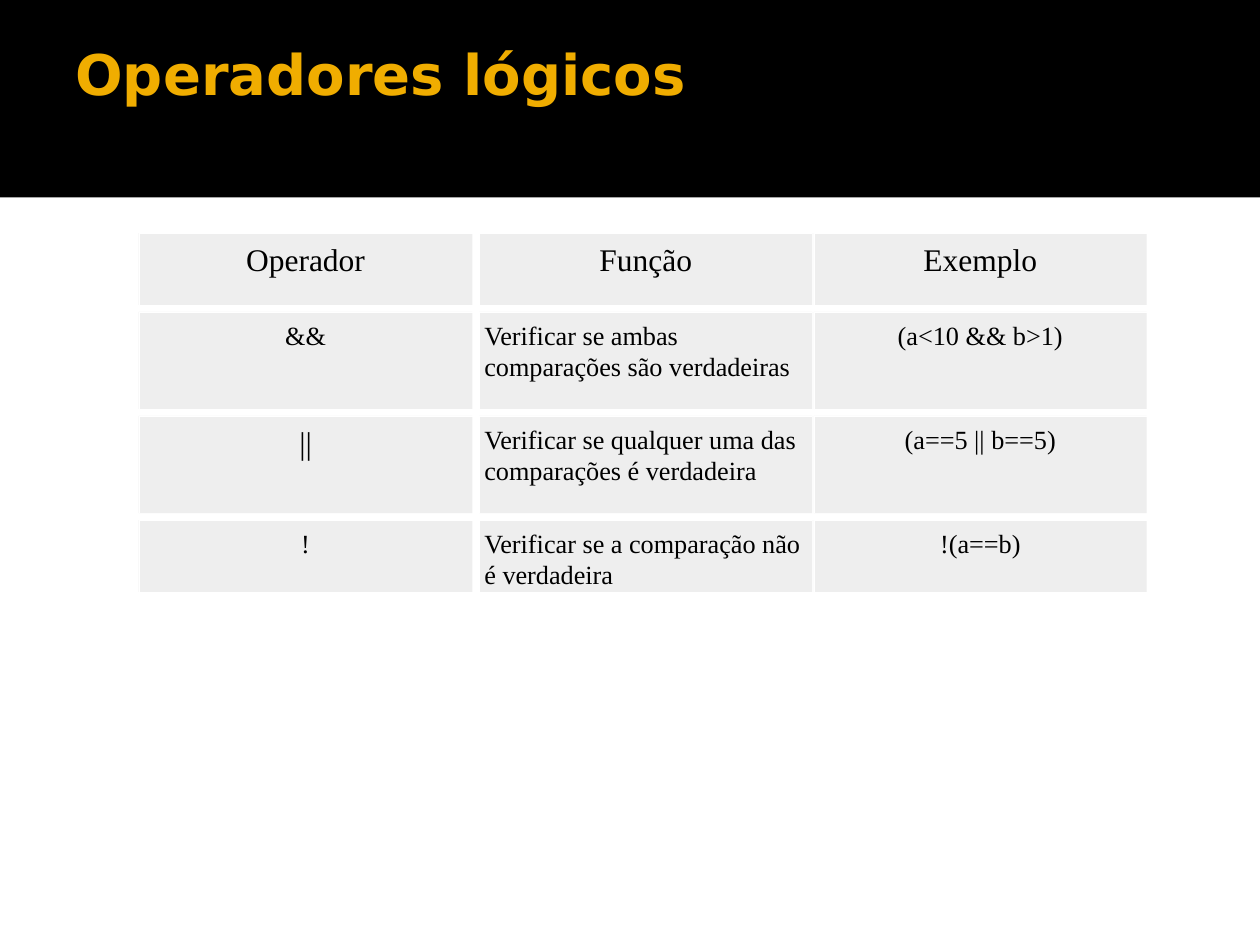
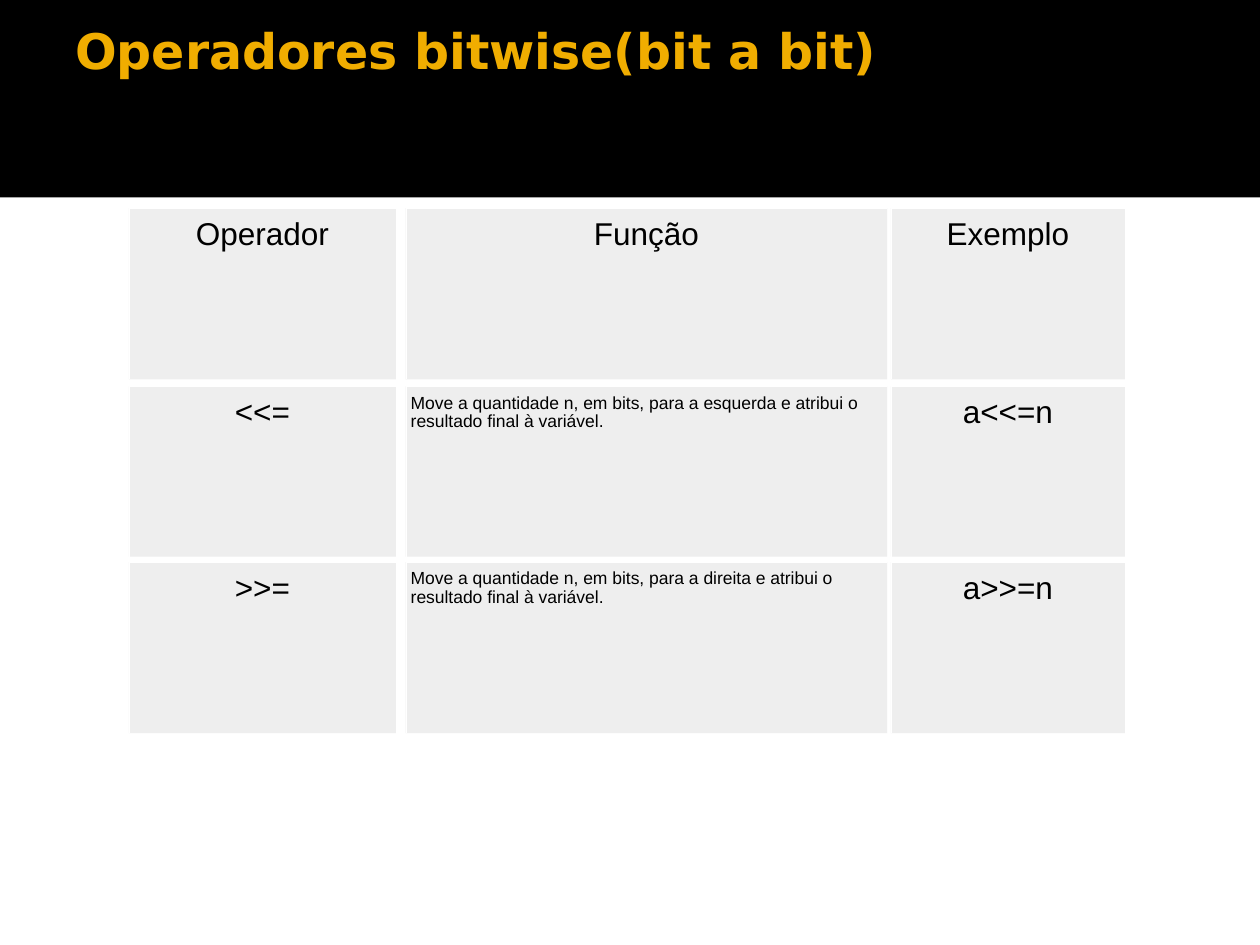
"""Builds two slides that tabulate logical and bitwise operators."""
import pptx
import pptx.dml.color
import pptx.enum.shapes
import pptx.enum.text
import pptx.oxml.ns
import pptx.util
from lxml import etree

Pt = pptx.util.Pt
ALIGN = pptx.enum.text.PP_ALIGN
RECTANGLE = pptx.enum.shapes.MSO_SHAPE.RECTANGLE
STRAIGHT = pptx.enum.shapes.MSO_CONNECTOR.STRAIGHT
BLACK, GOLD, WHITE, GREY = "000000", "F0AD00", "FFFFFF", "EEEEEE"


def colour(hex_value):
    return pptx.dml.color.RGBColor.from_string(hex_value)


def apply(target, formats):
    for attribute, value in formats.items():
        setattr(target, attribute, value)


lessons = [
    {
        "title": "Operadores lógicos",
        "title_size": 32,
        "title_inset": 14.9,
        "font": "Times New Roman",
        "columns": [(79.2, 190.8), (273.9, 190.2), (465.1, 190.2)],
        "lines": [(133.3, 41), (178.3, 55.4), (237.7, 55.5), (297.2, 41)],
        "top_inset": 4,
        "body_sizes": (15, 15, 15),
        "spacings": (1.0, 1.0),
        "rows": [
            ("&&", "Verificar se ambas comparações são verdadeiras", "(a<10 && b>1)"),
            ("||", "Verificar se qualquer uma das comparações é verdadeira", "(a==5 || b==5)"),
            ("!", "Verificar se a comparação não é verdadeira", "!(a==b)"),
        ],
    },
    {
        "title": "Operadores bitwise(bit a bit)",
        "title_size": 28,
        "title_inset": 3.6,
        "font": "Arial",
        "columns": [(73.6, 152.7), (231.8, 275.1), (509.1, 133.8)],
        "lines": [(119, 97.8), (220.8, 97.4), (321.2, 97.8)],
        "top_inset": 4.3,
        "body_sizes": (18, 10, 18),
        "spacings": (0.98, 0.9),
        "rows": [
            ("<<=", "Move a quantidade n, em bits, para a esquerda e atribui o resultado final à variável.", "a<<=n"),
            (">>=", "Move a quantidade n, em bits, para a direita e atribui o resultado final à variável.", "a>>=n"),
        ],
    },
]
headings = ("Operador", "Função", "Exemplo")
heading_size = 18
larger_operators = {"||": 18}

deck = pptx.Presentation()
apply(deck, {"slide_width": Pt(720), "slide_height": Pt(540)})

for lesson in lessons:
    slide = deck.slides.add_slide(deck.slide_layouts[6])

    band = slide.shapes.add_shape(RECTANGLE, 0, 0, Pt(720), Pt(112.8))
    band.shadow.inherit = False
    band.fill.solid()
    band.fill.fore_color.rgb = colour(BLACK)
    band.line.fill.background()

    title = slide.shapes.add_textbox(Pt(36), Pt(12.2), Pt(648), Pt(98.6)).text_frame
    apply(title, {"word_wrap": True, "margin_top": Pt(lesson["title_inset"])})
    heading = title.paragraphs[0]
    apply(heading, {"text": lesson["title"], "line_spacing": 0.9})
    apply(heading.font, {"name": "DejaVu Sans", "size": Pt(lesson["title_size"]), "bold": True})
    heading.font.color.rgb = colour(GOLD)

    edges = []
    for r, (texts, (top, height)) in enumerate(zip([headings] + lesson["rows"], lesson["lines"])):
        for c, (text, (left, width)) in enumerate(zip(texts, lesson["columns"])):
            cell = slide.shapes.add_shape(RECTANGLE, Pt(left), Pt(top), Pt(width), Pt(height))
            cell.shadow.inherit = False
            cell.fill.solid()
            cell.fill.fore_color.rgb = colour(GREY)
            cell.line.fill.background()
            apply(cell.text_frame, {
                "word_wrap": True,
                "vertical_anchor": pptx.enum.text.MSO_ANCHOR.TOP,
                "margin_left": Pt(2.9),
                "margin_right": Pt(2.9),
                "margin_top": Pt(lesson["top_inset"]),
                "margin_bottom": Pt(2.9),
            })

            is_description = r > 0 and c == 1
            size = larger_operators.get(text, lesson["body_sizes"][c]) if r else heading_size
            entry = cell.text_frame.paragraphs[0]
            apply(entry, {
                "text": text,
                "alignment": ALIGN.LEFT if is_description else ALIGN.CENTER,
                "line_spacing": lesson["spacings"][is_description],
            })
            apply(entry.font, {"name": lesson["font"], "size": Pt(size)})
            entry.font.color.rgb = colour(BLACK)
            edges += [(left, top, left + width, top), (left, top, left, top + height)]

    for edge in edges:
        rule = slide.shapes.add_connector(STRAIGHT, *map(Pt, edge))
        rule.line.color.rgb = colour(WHITE)
        rule.line.width = Pt(0.06)
        etree.SubElement(rule._element.spPr, pptx.oxml.ns.qn("a:effectLst"))

deck.save("out.pptx")
